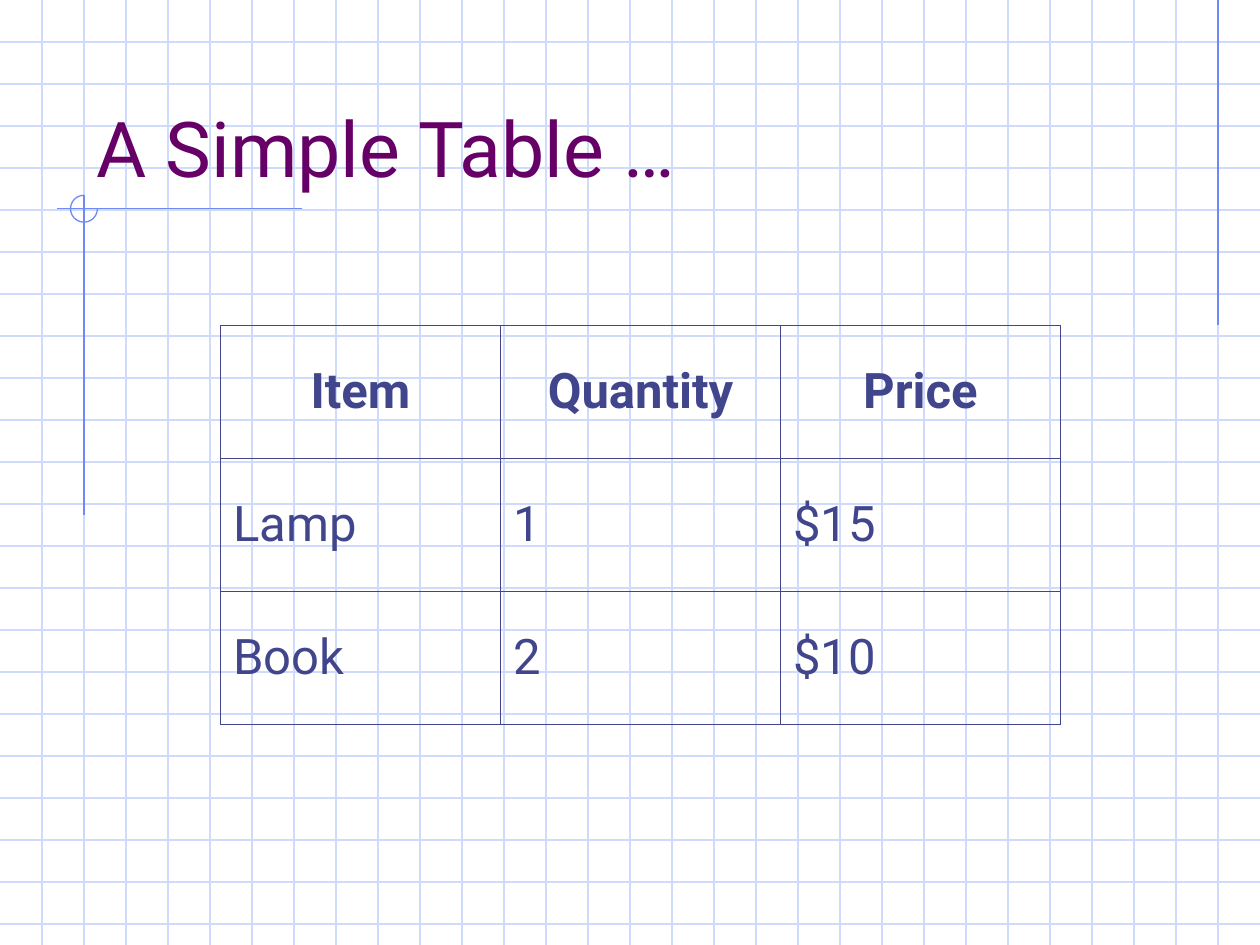
from lxml.etree import SubElement
from pptx import Presentation
from pptx.dml.color import RGBColor
from pptx.enum.shapes import MSO_CONNECTOR, MSO_SHAPE
from pptx.enum.text import MSO_ANCHOR, MSO_AUTO_SIZE, PP_ALIGN
from pptx.oxml.ns import qn
from pptx.util import Inches, Pt

COLOURS = {"grid": "CFDBFD", "guide": "6F89F7", "title": "660066", "table": "40458C"}
FONT = "Roboto"
COLUMNS, ROWS = 30, 22.5
ORDERS = [
    ["Item", "Quantity", "Price"],
    ["Lamp", "1", "$15"],
    ["Book", "2", "$10"],
]


def units(*counts):
    return [Inches(count / 3) for count in counts]


def colour(part):
    return RGBColor.from_string(COLOURS[part])


def add_rule(slide, start, end, part):
    rule = slide.shapes.add_connector(MSO_CONNECTOR.STRAIGHT, *units(*start, *end))
    rule.line.color.rgb = colour(part)
    rule.line.width = Pt(0.75)
    properties = rule._element.find(qn("p:spPr"))
    SubElement(properties, qn("a:effectLst"))


def add_run(paragraph, words, size, part, bold=False):
    run = paragraph.add_run()
    run.text = words
    run.font.name = FONT
    run.font.size = Pt(size)
    run.font.bold = bold
    run.font.color.rgb = colour(part)


def add_grid(slide, left, top, width, height):
    for row in range(1, int(height) + 1):
        add_rule(slide, (left, top + row), (left + width, top + row), "grid")
    for column in range(1, int(width)):
        add_rule(slide, (left + column, top), (left + column, top + height), "grid")


def add_guides(slide, left, top, width, height):
    corner_x, corner_y, radius = left + 2, top + 4.97, 0.32
    right = left + width - 1
    add_rule(slide, (right, top), (right, top + 7.75), "guide")
    add_rule(slide, (corner_x + 5.2, corner_y), (corner_x - 0.65, corner_y), "guide")
    add_rule(slide, (corner_x, corner_y - radius), (corner_x, corner_y + 7.3), "guide")
    arc = slide.shapes.add_shape(
        MSO_SHAPE.ARC,
        *units(corner_x - radius, corner_y - radius, 2 * radius, 2 * radius),
    )
    arc.adjustments[0] = 0
    arc.adjustments[1] = 162
    arc.shadow.inherit = False
    arc.fill.background()
    arc.line.color.rgb = colour("guide")
    arc.line.width = Pt(0.75)


def place_title(slide, left, top, width, height):
    title = slide.shapes.title
    title.left, title.top, title.width, title.height = units(left, top, width, height)
    frame = title.text_frame
    frame.auto_size = MSO_AUTO_SIZE.NONE
    frame.word_wrap = True
    frame.vertical_anchor = MSO_ANCHOR.BOTTOM
    heading = frame.paragraphs[0]
    heading.alignment = PP_ALIGN.LEFT
    add_run(heading, "A Simple Table …", 44, "title")
    title._element.getparent().append(title._element)


def add_borders(cell):
    properties = cell._tc.get_or_add_tcPr()
    for side in ("lnL", "lnR", "lnT", "lnB"):
        border = SubElement(properties, qn(f"a:{side}"), w=str(Pt(0.45)))
        fill = SubElement(border, qn("a:solidFill"))
        SubElement(fill, qn("a:srgbClr"), val=COLOURS["table"])


def add_orders(slide, left, top, width, height):
    orders = slide.shapes.add_table(
        len(ORDERS), len(ORDERS[0]), *units(left, top, width, height)
    ).table
    orders.first_row = False
    orders.horz_banding = False
    for row, entries in enumerate(ORDERS):
        header = row == 0
        for column, entry in enumerate(entries):
            cell = orders.cell(row, column)
            add_borders(cell)
            cell.fill.background()
            cell.vertical_anchor = MSO_ANCHOR.MIDDLE
            paragraph = cell.text_frame.paragraphs[0]
            paragraph.alignment = PP_ALIGN.CENTER if header else PP_ALIGN.LEFT
            add_run(paragraph, entry, 28, "table", bold=header)


def main():
    presentation = Presentation()
    presentation.slide_width, presentation.slide_height = units(COLUMNS, ROWS)
    slide = presentation.slides.add_slide(presentation.slide_layouts[5])
    add_grid(slide, 0, 0, COLUMNS, ROWS)
    add_guides(slide, 0, 0, COLUMNS, ROWS)
    place_title(slide, 2, 1, 25.5, 3.75)
    add_orders(slide, 5.25, 7.75, 20, 9.5)
    presentation.save("out.pptx")


if __name__ == "__main__":
    main()
